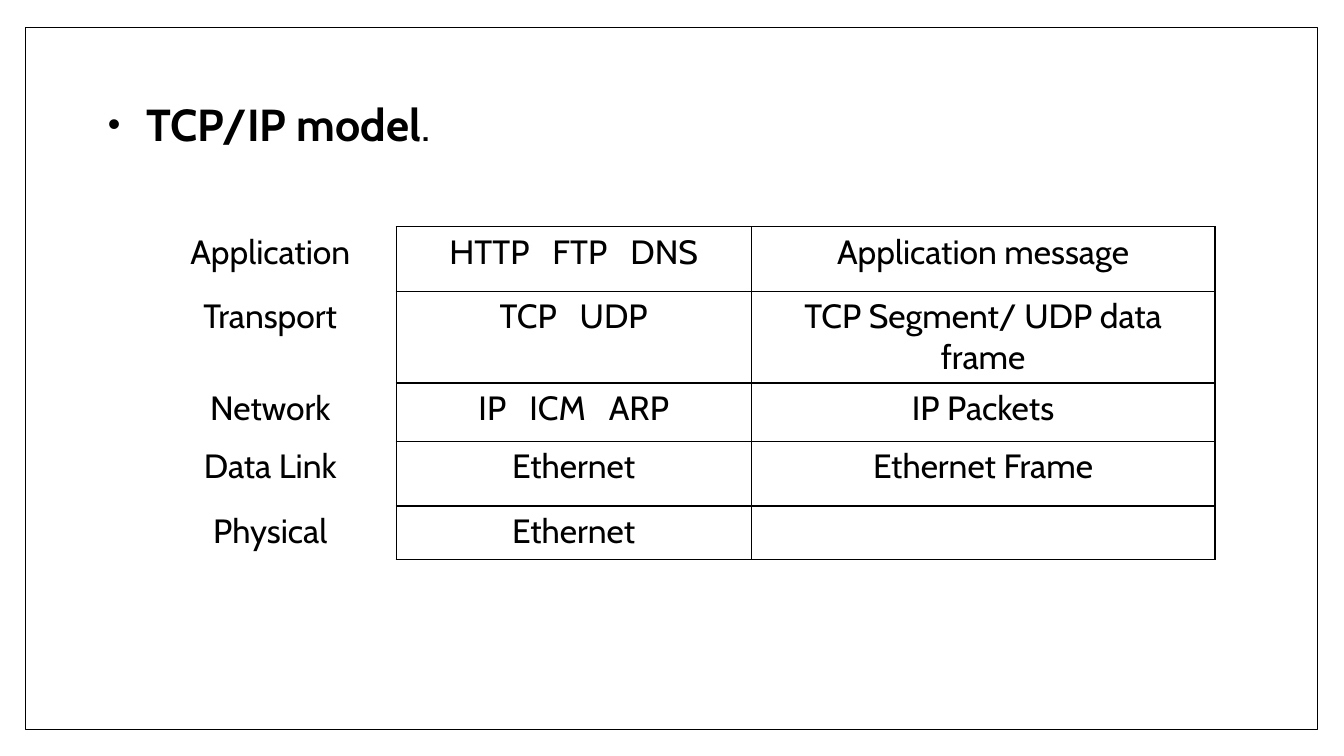
from pptx import Presentation
from pptx import util as u
from pptx.dml.color import RGBColor
from pptx.enum import shapes, text
from pptx.oxml import ns, xmlchemy

BLACK = RGBColor(0x00, 0x00, 0x00)
WHITE = RGBColor(0xFF, 0xFF, 0xFF)
FONT = "Cabin"
WIDTH, HEIGHT = u.Inches(13.33), u.Inches(7.5)

COLUMNS = [2.5, 3.52, 4.6]
ROWS = [0.64, 0.61, 0.58, 0.64, 0.53]
LAYERS = [
    ("Application", ["HTTP", "FTP", "DNS"], "Application message"),
    ("Transport", ["TCP", "UDP"], "TCP Segment/ UDP data frame"),
    ("Network", ["IP", "ICM", "ARP"], "IP Packets"),
    ("Data Link", ["Ethernet"], "Ethernet Frame"),
    ("Physical", ["Ethernet"], ""),
]
GAP_SPACING = 1100


def share(left, top, width, height):
    return (round(WIDTH * left), round(HEIGHT * top),
            round(WIDTH * width), round(HEIGHT * height))


def child(parent, tag, **attributes):
    element = xmlchemy.OxmlElement(tag)
    for name, value in attributes.items():
        element.set(name, str(value))
    parent.append(element)
    return element


def add_run(p, words, size, bold=False):
    r = p.add_run()
    r.text = words
    r.font.name = FONT
    r.font.size = u.Pt(size)
    r.font.bold = bold
    r.font.color.rgb = BLACK
    return r


def add_frame(s, box):
    sp = s.shapes.add_shape(shapes.MSO_SHAPE.RECTANGLE, *box)
    sp.shadow.inherit = False
    sp.fill.solid()
    sp.fill.fore_color.rgb = WHITE
    sp.line.color.rgb = BLACK
    sp.line.width = u.Pt(1)
    s.shapes._spTree.remove(sp._element)
    s.shapes._spTree.insert(2, sp._element)


def fill_body(s, box):
    sp = s.placeholders[1]
    sp.left, sp.top, sp.width, sp.height = box
    tf = sp.text_frame
    tf.word_wrap = True
    tf.auto_size = text.MSO_AUTO_SIZE.NONE
    tf.vertical_anchor = text.MSO_ANCHOR.TOP
    p = tf.paragraphs[0]
    pPr = p._p.get_or_add_pPr()
    pPr.set("marL", str(u.Inches(0.38)))
    pPr.set("indent", str(-u.Inches(0.38)))
    child(child(pPr, "a:buClr"), "a:srgbClr", val=BLACK)
    child(pPr, "a:buSzPct", val=80000)
    child(pPr, "a:buFont", typeface="Arial")
    child(pPr, "a:buChar", char="•")
    p.alignment = text.PP_ALIGN.JUSTIFY
    p.line_spacing = 0.9
    p.space_before = u.Pt(0)
    add_run(p, "TCP/IP model", 32, True)
    add_run(p, ".", 32)


def set_borders(cell, visible):
    tcPr = cell._tc.get_or_add_tcPr()
    for side in "LRTB":
        line = child(tcPr, f"a:ln{side}", w=u.Pt(1))
        if side in visible:
            child(child(line, "a:solidFill"), "a:srgbClr", val=BLACK)
        else:
            child(line, "a:noFill")
    cell.fill.background()


def fill_cell(cell, words):
    p = cell.text_frame.paragraphs[0]
    p.alignment = text.PP_ALIGN.CENTER
    for i, word in enumerate(words):
        if i:
            gap = add_run(p, " ", 24)
            gap._r.get_or_add_rPr().set("spc", str(GAP_SPACING))
        add_run(p, word, 24)


def add_layers(s, box):
    left, top, width, height = box
    table = s.shapes.add_table(len(ROWS), len(COLUMNS), *box).table
    table.first_row = table.horz_banding = False
    for column, part in zip(table.columns, COLUMNS):
        column.width = round(width * part / sum(COLUMNS))
    for row, part in zip(table.rows, ROWS):
        row.height = round(height * part / sum(ROWS))
    for i, (layer, protocols, unit) in enumerate(LAYERS):
        for j, words in enumerate(([layer], protocols, [unit] if unit else [])):
            cell = table.cell(i, j)
            fill_cell(cell, words)
            set_borders(cell, "LRTB" if j else "R")


def build_slide(prs):
    s = prs.slides.add_slide(prs.slide_layouts[1])
    title = s.shapes.title._element
    title.getparent().remove(title)
    add_frame(s, share(0.0188, 0.036, 0.9617, 0.9293))
    fill_body(s, share(0.0728, 0.1293, 0.8552, 0.5893))
    add_layers(s, share(0.1073, 0.3, 0.7967, 0.4))


def main():
    prs = Presentation()
    prs.slide_width, prs.slide_height = WIDTH, HEIGHT
    build_slide(prs)
    prs.save("out.pptx")


if __name__ == "__main__":
    main()
